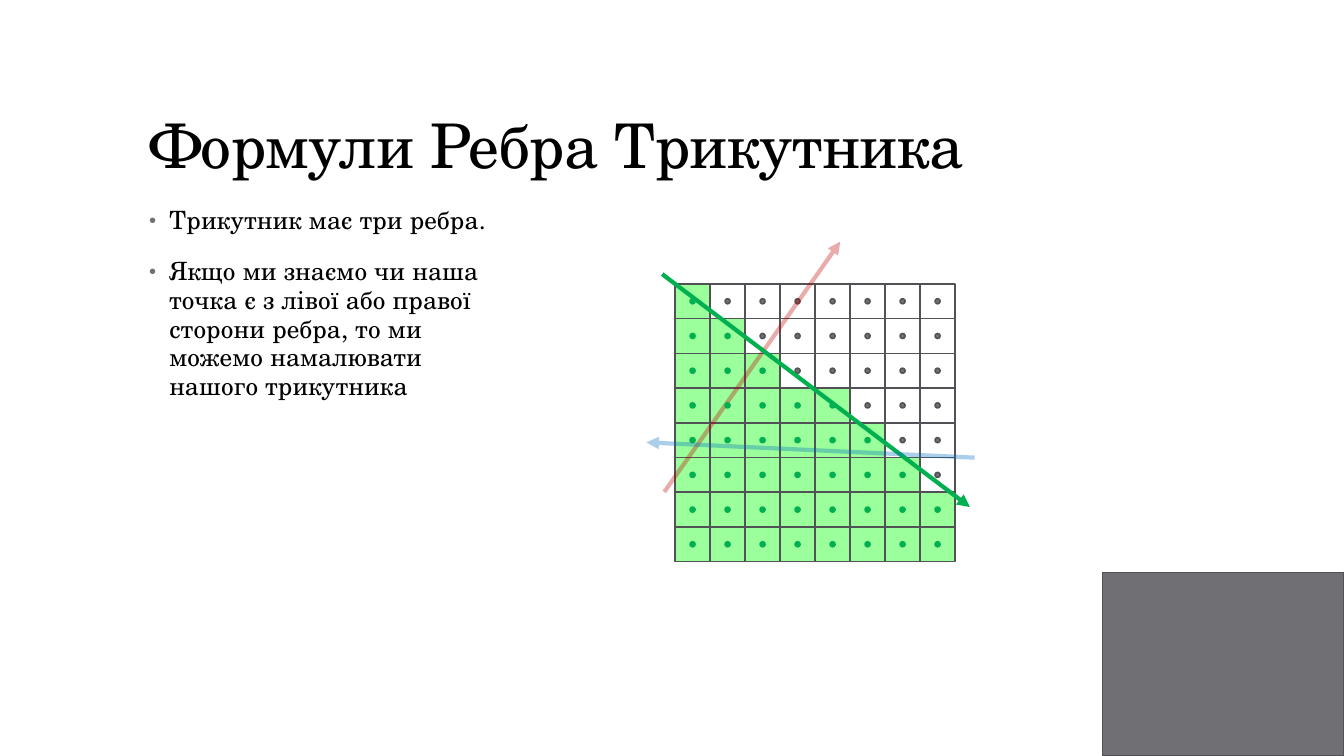
"""Build a slide on the edge formulas of a triangle."""
from dataclasses import dataclass

from lxml.etree import SubElement
from pptx import Presentation
from pptx.dml.color import RGBColor
from pptx.enum.shapes import MSO_CONNECTOR, MSO_SHAPE
from pptx.enum.text import MSO_ANCHOR
from pptx.oxml.ns import qn
from pptx.util import Pt


@dataclass(frozen=True)
class Theme:
    font: str = "TeX Gyre Schola"
    ink: str = "000000"
    grey: str = "6F6F74"
    edge: str = "525256"
    lime: str = "9BFF9B"
    green: str = "00B050"
    red: str = "C00000"
    blue: str = "0070C0"
    head: int = 44
    body: int = 18
    thin: float = 1.1
    thick: float = 3


class Deck:
    def __init__(self, theme):
        self.theme = theme
        self.show = Presentation()
        self.show.slide_width = Pt(960)
        self.show.slide_height = Pt(540)
        self.slide = self.show.slides.add_slide(self.show.slide_layouts[6])

    def shape(self, kind, x, y, wide, high, fill, line):
        item = self.slide.shapes.add_shape(kind, Pt(x), Pt(y), Pt(wide), Pt(high))
        item.shadow.inherit = False
        if fill:
            item.fill.solid()
            item.fill.fore_color.rgb = RGBColor.from_string(fill)
        else:
            item.fill.background()
        item.line.color.rgb = RGBColor.from_string(line)
        item.line.width = Pt(self.theme.thin)

    def dot(self, x, y, inside):
        look = self.theme
        fill, line = (look.green, look.green) if inside else (look.grey, look.edge)
        size = 3.6
        self.shape(MSO_SHAPE.OVAL, x - size / 2, y - size / 2, size, size, fill, line)

    def arrow(self, start, end, tint, alpha=None):
        item = self.slide.shapes.add_connector(
            MSO_CONNECTOR.STRAIGHT, *map(Pt, start + end))
        item.line.color.rgb = RGBColor.from_string(tint)
        item.line.width = Pt(self.theme.thick)
        props = item._element.spPr
        line = props.find(qn("a:ln"))
        if alpha:
            shade = line.find(".//" + qn("a:srgbClr"))
            SubElement(shade, qn("a:alpha"), val=str(alpha * 1000))
        SubElement(line, qn("a:tailEnd"), type="triangle")
        SubElement(props, qn("a:effectLst"))

    def text(self, x, y, wide, high, lines, size, space, track,
             anchor=MSO_ANCHOR.TOP, bullet=False):
        frame = self.slide.shapes.add_textbox(
            Pt(x), Pt(y), Pt(wide), Pt(high)).text_frame
        frame.word_wrap = True
        frame.vertical_anchor = anchor
        for rank, words in enumerate(lines):
            para = frame.add_paragraph() if rank else frame.paragraphs[0]
            para.text = words
            para.line_spacing = space
            props = para._p.get_or_add_pPr()
            if bullet:
                para.space_before = Pt(14 if rank else 0)
                para.space_after = Pt(2)
                self.bullet(props)
            para.font.name = self.theme.font
            para.font.size = Pt(size)
            para.font.color.rgb = RGBColor.from_string(self.theme.ink)
            props.find(qn("a:defRPr")).set("spc", str(track))

    def bullet(self, props):
        props.set("marL", str(Pt(14.4)))
        props.set("indent", str(Pt(-14.4)))
        tint = SubElement(props, qn("a:buClr"))
        SubElement(tint, qn("a:srgbClr"), val=self.theme.grey)
        SubElement(props, qn("a:buSzPct"), val="80000")
        SubElement(props, qn("a:buFont"), typeface="Arial")
        SubElement(props, qn("a:buChar"), char="•")


def main():
    look = Theme()
    deck = Deck(look)
    deck.shape(MSO_SHAPE.RECTANGLE, 787.5, 409, 172.5, 131, look.grey, look.edge)
    deck.text(99.4, 28.8, 763.2, 104.4, ["Формули Ребра Трикутника"],
              look.head, 0.9, -50, anchor=MSO_ANCHOR.BOTTOM)
    deck.text(99.4, 144, 267.8, 342.7, [
        "Трикутник має три ребра.",
        "Якщо ми знаємо чи наша точка є з лівої або правої сторони ребра, "
        "то ми можемо намалювати нашого трикутника",
    ], look.body, 0.95, 10, bullet=True)

    left, top, wide, high = 482.2, 202.8, 25, 24.8
    counts = [1, 2, 3, 5, 6, 7, 8, 8]
    front = []
    for row, count in enumerate(counts):
        for col in range(len(counts)):
            x, y = left + col * wide, top + row * high
            inside = col < count
            deck.shape(MSO_SHAPE.RECTANGLE, x, y, wide, high,
                       look.lime if inside else None, look.edge)
            spot = (x + wide / 2, y + high / 2, inside)
            if row == 3 and col < 4:
                front.append(spot)
            else:
                deck.dot(*spot)

    deck.arrow((474.5, 351.4), (600.2, 172.6), look.red, 33)
    deck.arrow((473, 195.8), (692.8, 362.2), look.green)
    deck.arrow((696.2, 326.9), (461.7, 316), look.blue, 33)
    for spot in front:
        deck.dot(*spot)
    deck.show.save("out.pptx")


if __name__ == "__main__":
    main()
